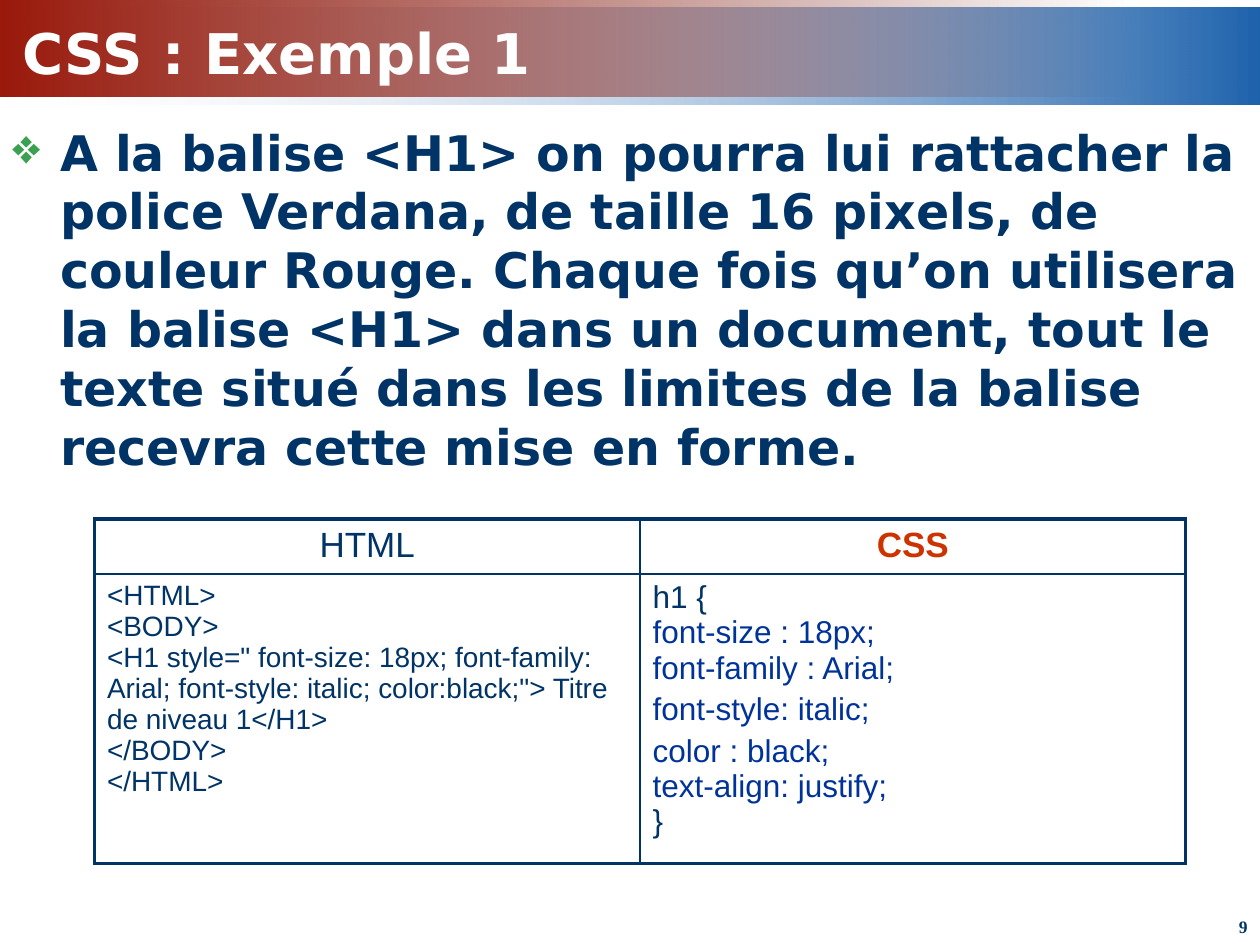
from lxml.etree import SubElement
from pptx import Presentation
from pptx.dml.color import RGBColor
from pptx.enum.shapes import MSO_SHAPE
from pptx.enum.text import MSO_ANCHOR, MSO_AUTO_SIZE, PP_ALIGN
from pptx.oxml.ns import qn
from pptx.util import Inches, Pt

NAVY = RGBColor(0x00, 0x33, 0x66)
BLUE = RGBColor(0x00, 0x33, 0x99)
ORANGE = RGBColor(0xCC, 0x33, 0x00)
GREEN = RGBColor(0x3C, 0xA0, 0x51)
WHITE = RGBColor(0xFF, 0xFF, 0xFF)
PALE = RGBColor(0xF1, 0xF2, 0xF7)
SKY = RGBColor(0x1F, 0x63, 0xAD)
RED = RGBColor(0x99, 0x19, 0x0B)
MAROON = RGBColor(0x6D, 0x12, 0x08)

WIDTH, HEIGHT = Inches(10), Inches(7.5)
BAND_HEIGHT = Inches(0.77)
TITLE = "CSS : Exemple 1"
BODY = (
    "A la balise <H1> on pourra lui rattacher la police Verdana, de taille 16 pixels, "
    "de couleur Rouge. Chaque fois qu’on utilisera la balise <H1> dans un document, "
    "tout le texte situé dans les limites de la balise recevra cette mise en forme."
)
PAGE = "9"
BANDS = [
    {"top": Inches(0.06), "width": WIDTH, "colors": (PALE, SKY), "clear": 0},
    {"top": 0, "width": Inches(9), "colors": (RED, MAROON), "clear": 1},
]
HEADERS = [("HTML", NAVY, False), ("CSS", ORANGE, True)]
HTML_CODE = [[
    ("<HTML>", NAVY),
    ("<BODY>", NAVY),
    ('<H1 style=" font-size: 18px; font-family: Arial; font-style: italic; '
     'color:black;"> Titre de niveau 1</H1>', NAVY),
    ("</BODY>", NAVY),
    ("</HTML>", NAVY),
]]
CSS_CODE = [
    [("h1 {", NAVY), ("font-size : 18px;", BLUE), ("font-family : Arial;", BLUE)],
    [("font-style: italic;", BLUE)],
    [("color : black;", BLUE), ("text-align: justify;", BLUE), ("}", NAVY)],
]
CODE = [(HTML_CODE, 16), (CSS_CODE, 18)]
ROW_HEIGHTS = [Inches(0.41), Inches(2.16)]


def set_font(font, name, size, color, bold=False):
    font.name, font.size, font.bold = name, Pt(size), bold
    font.color.rgb = color


def add_band(slide, top, width, colors, clear):
    band = slide.shapes.add_shape(MSO_SHAPE.RECTANGLE, 0, top, width, BAND_HEIGHT)
    band.shadow.inherit = False
    band.line.fill.background()
    band.fill.gradient()
    band.fill.gradient_angle = 0
    for stop, color in zip(band.fill.gradient_stops, colors):
        stop.color.rgb = color
    stop_colors = list(band.element.spPr.iter(qn("a:srgbClr")))
    SubElement(stop_colors[clear], qn("a:alpha"), val="0")


def add_text(slide, text, box, name, size):
    frame = slide.shapes.add_textbox(*box).text_frame
    frame.word_wrap = True
    paragraph = frame.paragraphs[0]
    paragraph.text = text
    set_font(paragraph.font, name, size, NAVY, True)
    return paragraph


def add_bullet(paragraph):
    properties = paragraph._p.get_or_add_pPr()
    properties.set("marL", str(Inches(0.38)))
    properties.set("indent", str(-Inches(0.38)))
    color = SubElement(properties, qn("a:buClr"))
    SubElement(color, qn("a:srgbClr"), val=str(GREEN))
    SubElement(properties, qn("a:buChar"), char="❖")
    properties.append(properties.find(qn("a:defRPr")))


def set_borders(cell, row, column):
    properties = cell._tc.get_or_add_tcPr()
    outer = {"lnL": column == 0, "lnR": column == 1, "lnT": row == 0, "lnB": row == 1}
    for position, (tag, is_outer) in enumerate(outer.items()):
        line = SubElement(properties, qn(f"a:{tag}"), w=str(Pt(2.25 if is_outer else 1)))
        fill = SubElement(line, qn("a:solidFill"))
        SubElement(fill, qn("a:srgbClr"), val=str(NAVY))
        properties.insert(position, line)


def write_code(cell, paragraphs, size):
    frame = cell.text_frame
    for index, lines in enumerate(paragraphs):
        paragraph = frame.add_paragraph() if index else frame.paragraphs[0]
        paragraph.space_before = Pt(size * 0.2)
        paragraph.font.size = Pt(size)
        for number, (text, color) in enumerate(lines):
            if number:
                paragraph.add_line_break()
            run = paragraph.add_run()
            run.text = text
            set_font(run.font, "Arial", size, color)


def add_code_table(slide):
    box = Inches(0.75), Inches(4.12), Inches(8.66), sum(ROW_HEIGHTS)
    table = slide.shapes.add_table(2, 2, *box).table
    table.first_row = table.horz_banding = False
    for row, height in zip(table.rows, ROW_HEIGHTS):
        row.height = height
    for column, (text, color, bold) in enumerate(HEADERS):
        paragraph = table.cell(0, column).text_frame.paragraphs[0]
        paragraph.text = text
        paragraph.alignment = PP_ALIGN.CENTER
        paragraph.space_before = Pt(4)
        set_font(paragraph.font, "Arial", 20, color, bold)
        write_code(table.cell(1, column), *CODE[column])
        for row in range(2):
            cell = table.cell(row, column)
            cell.fill.background()
            set_borders(cell, row, column)


def main():
    """Build the CSS example slide."""
    presentation = Presentation()
    presentation.slide_width, presentation.slide_height = WIDTH, HEIGHT
    slide = presentation.slides.add_slide(presentation.slide_layouts[5])
    for band in BANDS:
        add_band(slide, **band)

    title = slide.shapes.title
    title.left, title.top, title.width, title.height = Inches(0.08), 0, Inches(9.92), Inches(0.83)
    title.text_frame.text = TITLE
    title.text_frame.auto_size = MSO_AUTO_SIZE.NONE
    title.text_frame.vertical_anchor = MSO_ANCHOR.MIDDLE
    heading = title.text_frame.paragraphs[0]
    heading.alignment = PP_ALIGN.LEFT
    set_font(heading.font, "DejaVu Sans", 32, WHITE, True)
    title.element.getparent().append(title.element)

    body_box = 0, Inches(0.92), WIDTH, Inches(6.25)
    body = add_text(slide, BODY, body_box, "DejaVu Sans", 28)
    body.space_before = Pt(5.6)
    add_bullet(body)
    page_box = Inches(7.67), Inches(7.22), Inches(2.33), Inches(0.28)
    page = add_text(slide, PAGE, page_box, "Times New Roman", 10)
    page.alignment = PP_ALIGN.RIGHT
    add_code_table(slide)
    presentation.save("out.pptx")


if __name__ == "__main__":
    main()
